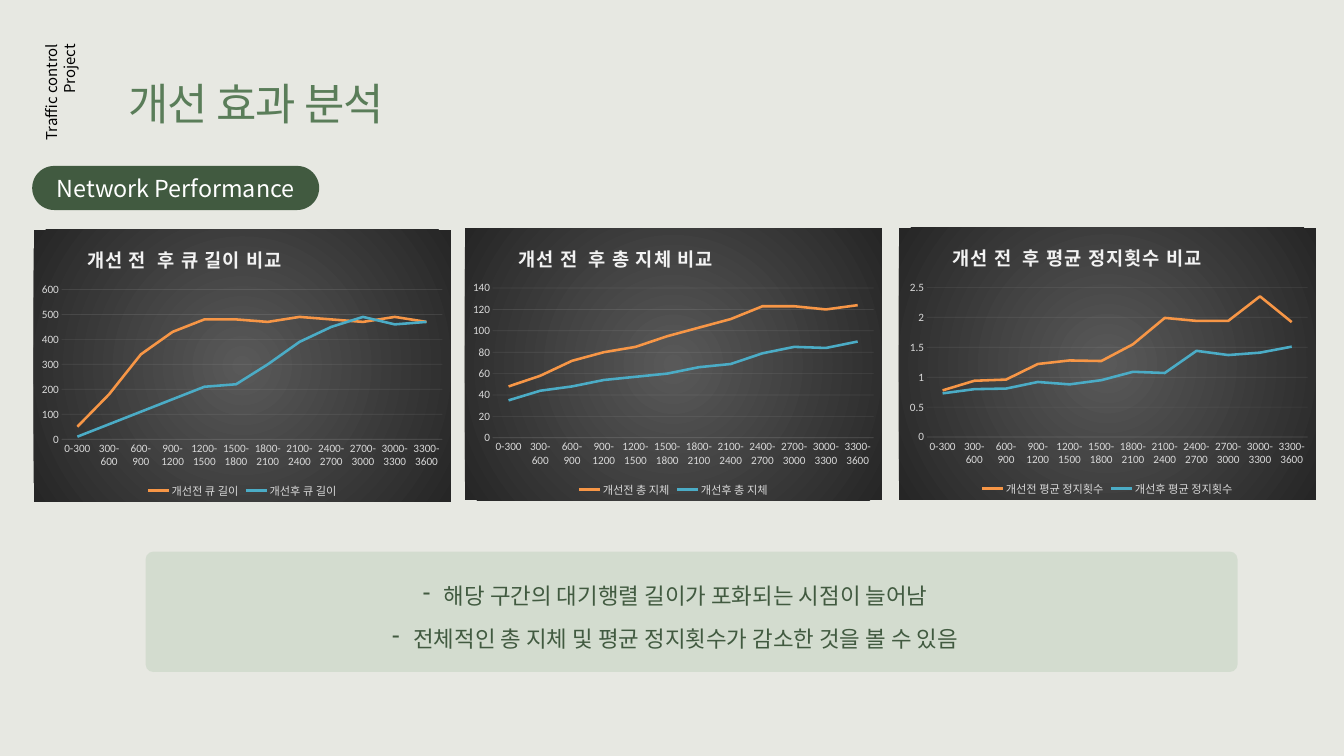
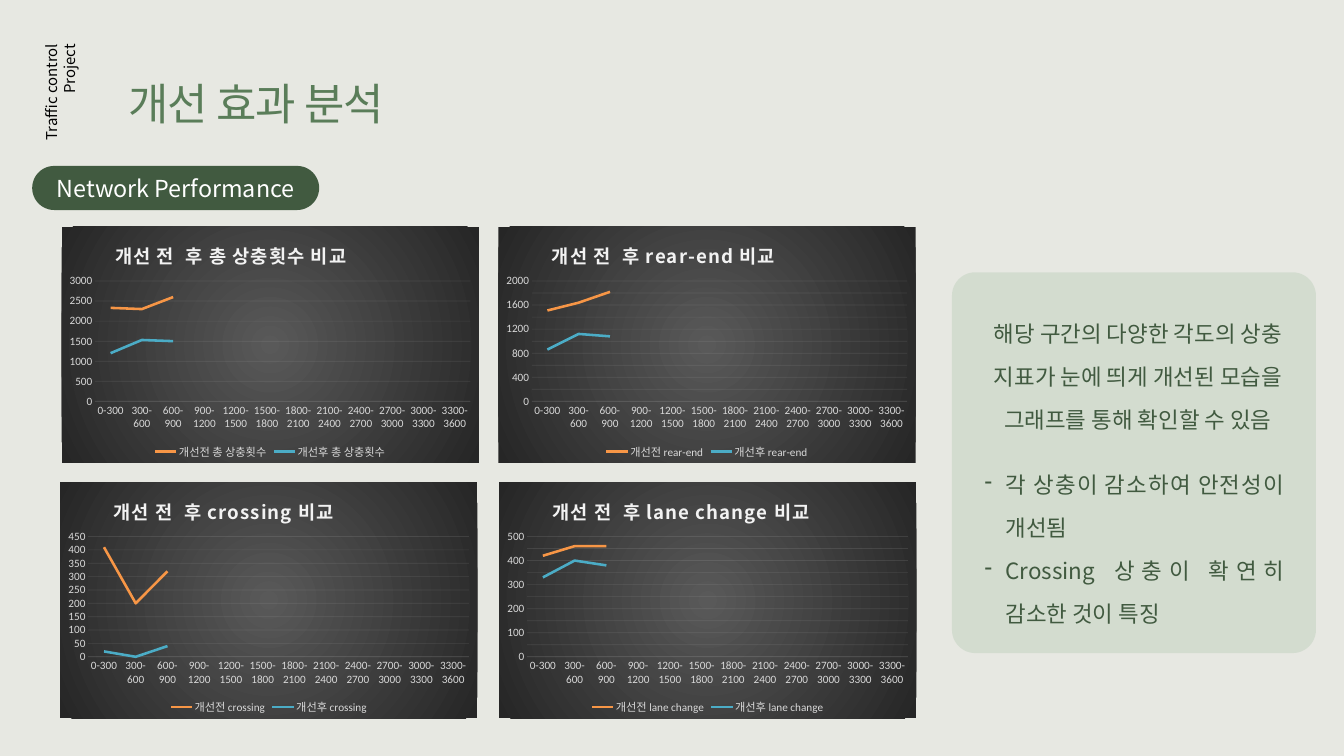
from lxml import etree
from pptx import Presentation
from pptx.chart.data import CategoryChartData
from pptx.dml.color import RGBColor
from pptx.enum.chart import XL_CHART_TYPE, XL_LEGEND_POSITION, XL_TICK_MARK
from pptx.enum.shapes import MSO_SHAPE
from pptx.enum.text import MSO_ANCHOR, MSO_AUTO_SIZE, PP_ALIGN
from pptx.oxml import parse_xml
from pptx.oxml.ns import nsdecls, qn
from pptx.util import Pt

# Scale and enum members
PX = 9525
LINE = XL_CHART_TYPE.LINE
LEGEND_BOTTOM = XL_LEGEND_POSITION.BOTTOM
NO_TICK = XL_TICK_MARK.NONE
ROUNDED = MSO_SHAPE.ROUNDED_RECTANGLE
MIDDLE = MSO_ANCHOR.MIDDLE
GROW = MSO_AUTO_SIZE.SHAPE_TO_FIT_TEXT
LEFT, CENTER, RIGHT, JUSTIFY = (
    PP_ALIGN.LEFT, PP_ALIGN.CENTER, PP_ALIGN.RIGHT, PP_ALIGN.JUSTIFY)

# Colours and fonts
PAPER = RGBColor(0xE7, 0xE8, 0xE2)
TITLE_GREEN = RGBColor(0x5A, 0x7D, 0x59)
DARK_GREEN = RGBColor(0x41, 0x5A, 0x40)
PANEL_GREEN = RGBColor(0xAF, 0xC6, 0xAE)
WHITE = RGBColor(0xFF, 0xFF, 0xFF)
BLACK = RGBColor(0, 0, 0)
CHART_TEXT = RGBColor(0xD9, 0xD9, 0xD9)
CHART_LINE = RGBColor(0xF2, 0xF2, 0xF2)
BEFORE_ORANGE = RGBColor(0xF7, 0x96, 0x46)
AFTER_BLUE = RGBColor(0x4B, 0xAC, 0xC6)
CHART_CENTRE = RGBColor(0x59, 0x59, 0x59)
CHART_EDGE = RGBColor(0x26, 0x26, 0x26)
TEXT_FONT = "Noto Sans CJK KR"
CHART_FONT = "Calibri"

PERIODS = [f"{start}-{start + 300}" for start in range(0, 3600, 300)]


def set_alpha(colours, percent):
    for colour in colours:
        etree.SubElement(colour, qn("a:alpha"), val=str(percent * 1000))


def set_layout(parent, index, **places):
    """Give a chart part a manual layout in shares of the chart size."""
    for old in parent.findall(qn("c:layout")):
        parent.remove(old)
    layout = etree.Element(qn("c:layout"))
    manual = etree.SubElement(layout, qn("c:manualLayout"))
    if "w" in places:
        etree.SubElement(manual, qn("c:layoutTarget"), val="inner")
    for axis in "xy":
        etree.SubElement(manual, qn(f"c:{axis}Mode"), val="edge")
    for name, share in places.items():
        etree.SubElement(manual, qn(f"c:{name}"), val=f"{share:.3f}")
    parent.insert(index, layout)


class Report:
    def __init__(self):
        self.deck = Presentation()
        self.deck.slide_width = 1920 * PX
        self.deck.slide_height = 1080 * PX
        self.page = None

    def add_page(self):
        """Start a page with the shared title, section pill and side label."""
        self.page = self.deck.slides.add_slide(self.deck.slide_layouts[6])
        self.page.background.fill.solid()
        self.page.background.fill.fore_color.rgb = PAPER
        self.text((174, 105, 867, 85), ["개선 효과 분석"], 47, TITLE_GREEN, spacing=-1)
        pill = self.panel((46, 237, 410, 63), 0.5, DARK_GREEN)
        pill.text_frame.vertical_anchor = MIDDLE
        pill.text_frame.word_wrap = True
        para = pill.text_frame.paragraphs[0]
        para.alignment = CENTER
        self.span(para, "Network Performance", 25, WHITE)
        label = self.text((-32, 142, 238, 61), ["Traffic control", "Project"],
                          16, BLACK, RIGHT)
        label.rotation = 270

    def span(self, para, words, size, colour, spacing=0, bold=None):
        span = para.add_run()
        span.text = words
        span.font.size = Pt(size)
        span.font.bold = bold
        span.font.color.rgb = colour
        span.font.name = TEXT_FONT
        properties = span.font._element
        etree.SubElement(properties, qn("a:ea"), typeface=TEXT_FONT)
        if spacing:
            properties.set("spc", str(spacing * 100))

    def text(self, place, lines, size, colour, align=LEFT, spacing=0,
             margin=0, bullet=False, line_spacing=None):
        box = self.page.shapes.add_textbox(*(length * PX for length in place))
        frame = box.text_frame
        frame.word_wrap = True
        frame.auto_size = GROW
        for number, words in enumerate(lines):
            para = frame.add_paragraph() if number else frame.paragraphs[0]
            properties = para._p.get_or_add_pPr()
            if margin:
                properties.set("marL", str(margin * PX))
            if bullet:
                properties.set("indent", str(-30 * PX))
                etree.SubElement(properties, qn("a:buChar"), char="-")
            para.alignment = align
            para.line_spacing = line_spacing
            self.span(para, words, size, colour, spacing)
        return box

    def note(self, place, lines, align, margin=40, bullet=True):
        self.text(place, lines, 24, DARK_GREEN, align, margin=margin,
                  bullet=bullet, line_spacing=1.6)

    def panel(self, place, rounding, colour, opacity=100):
        box = self.page.shapes.add_shape(ROUNDED, *(length * PX for length in place))
        box.adjustments[0] = rounding
        box.shadow.inherit = False
        box.line.fill.background()
        box.fill.solid()
        box.fill.fore_color.rgb = colour
        if opacity < 100:
            set_alpha(box._element.xpath("p:spPr/a:solidFill/a:srgbClr"), opacity)
        return box

    def line_chart(self, place, measure, before, after, top, step, plot):
        """Compare a measure before and after; plot is the (top, bottom) share."""
        data = CategoryChartData()
        data.categories = PERIODS
        data.add_series(f"개선전 {measure}", before)
        data.add_series(f"개선후 {measure}", after)
        chart = self.page.shapes.add_chart(
            LINE, *(length * PX for length in place), data).chart
        chart.font.size = Pt(10)
        chart.font.name = CHART_FONT
        chart.font.color.rgb = BLACK

        # Title and plot places
        root = chart.element
        chart.has_title = True
        para = chart.chart_title.text_frame.paragraphs[0]
        self.span(para, f"개선 전  후 {measure} 비교", 20, CHART_LINE, 1, True)
        set_layout(root.xpath("c:chart/c:title")[0], 1, x=0.12, y=0.04)
        left = 0.08 if top >= 1000 else 0.067
        set_layout(root.xpath("c:chart/c:plotArea")[0], 0, x=left, y=plot[0],
                   w=0.98 - left, h=plot[1] - plot[0])

        # Legend
        chart.has_legend = True
        chart.legend.position = LEGEND_BOTTOM
        chart.legend.include_in_layout = False

        # Axes
        periods, values = chart.category_axis, chart.value_axis
        for part in (periods.tick_labels, values.tick_labels, chart.legend):
            part.font.size = Pt(12)
            part.font.name = CHART_FONT
            part.font.color.rgb = CHART_TEXT
        for axis in (periods, values):
            axis.major_tick_mark = axis.minor_tick_mark = NO_TICK
        values.minimum_scale, values.maximum_scale = 0, top
        values.major_unit = step
        values.has_major_gridlines = True
        values.format.line.fill.background()
        for part in (periods, values.major_gridlines):
            part.format.line.width = Pt(0.75)
            part.format.line.color.rgb = CHART_LINE
        set_alpha(root.xpath("//c:majorGridlines//a:srgbClr"
                             " | //c:catAx/c:spPr//a:srgbClr"), 10)

        # Series
        chart.plots[0].vary_by_categories = False
        for series, colour in zip(chart.plots[0].series, (BEFORE_ORANGE, AFTER_BLUE)):
            series.smooth = False
            series.format.line.width = Pt(2.75)
            series.format.line.color.rgb = colour

        # Radial background
        root.find(qn("c:chart")).addnext(parse_xml(
            f'<c:spPr {nsdecls("c", "a")}><a:gradFill><a:gsLst>'
            f'<a:gs pos="0"><a:srgbClr val="{CHART_CENTRE}"/></a:gs>'
            f'<a:gs pos="100000"><a:srgbClr val="{CHART_EDGE}"/></a:gs></a:gsLst>'
            '<a:path path="circle"><a:fillToRect l="50000" t="50000" r="50000"'
            ' b="50000"/></a:path></a:gradFill><a:ln><a:noFill/></a:ln></c:spPr>'))


def add_flow_page(report):
    report.add_page()
    flow_charts = [
        (48, 328, "큐 길이",
         [50, 180, 340, 430, 480, 480, 470, 490, 480, 470, 490, 470],
         [10, 60, 110, 160, 210, 220, 300, 390, 450, 490, 460, 470], 600, 100),
        (664, 326, "총 지체",
         [48, 58, 72, 80, 85, 95, 103, 111, 123, 123, 120, 124],
         [35, 44, 48, 54, 57, 60, 66, 69, 79, 85, 84, 90], 140, 20),
        (1284, 325, "평균 정지횟수",
         [0.78, 0.94, 0.96, 1.22, 1.28, 1.27, 1.55, 1.99, 1.94, 1.94, 2.35, 1.92],
         [0.73, 0.8, 0.81, 0.92, 0.88, 0.95, 1.09, 1.07, 1.44, 1.37, 1.41, 1.51],
         2.5, 0.5),
    ]
    for left, top, *content in flow_charts:
        report.line_chart((left, top, 596, 389), *content, plot=(0.22, 0.77))
    report.panel((208, 788, 1560, 172), 0.064, PANEL_GREEN, 35)
    report.note((261, 804, 1397, 128), [
        "해당 구간의 대기행렬 길이가 포화되는 시점이 늘어남",
        "전체적인 총 지체 및 평균 정지횟수가 감소한 것을 볼 수 있음"], CENTER)


def add_conflict_page(report):
    report.add_page()
    conflict_charts = [
        (88, 324, "총 상충횟수", [2330, 2300, 2600], [1200, 1530, 1500], 3000, 500),
        (86, 689, "crossing", [410, 200, 320], [20, 0, 40], 450, 50),
        (712, 324, "rear-end", [1510, 1640, 1820], [860, 1120, 1080], 2000, 200),
        (713, 689, "lane change", [420, 460, 460], [330, 400, 380], 500, 50),
    ]
    for left, top, *content in conflict_charts:
        report.line_chart((left, top, 596, 337), *content, plot=(0.23, 0.74))
    report.panel((1360, 389, 520, 544), 0.064, PANEL_GREEN, 35)
    report.note((1387, 429, 466, 190), [
        "해당 구간의 다양한 각도의 상충 지표가 눈에 띄게 개선된 모습을 "
        "그래프를 통해 확인할 수 있음"], CENTER, margin=11, bullet=False)
    report.note((1387, 645, 457, 252), [
        "각 상충이 감소하여 안전성이 개선됨",
        "Crossing 상충이 확연히 감소한 것이 특징"], JUSTIFY)


def main():
    report = Report()
    add_flow_page(report)
    add_conflict_page(report)
    report.deck.save("out.pptx")


if __name__ == "__main__":
    main()
